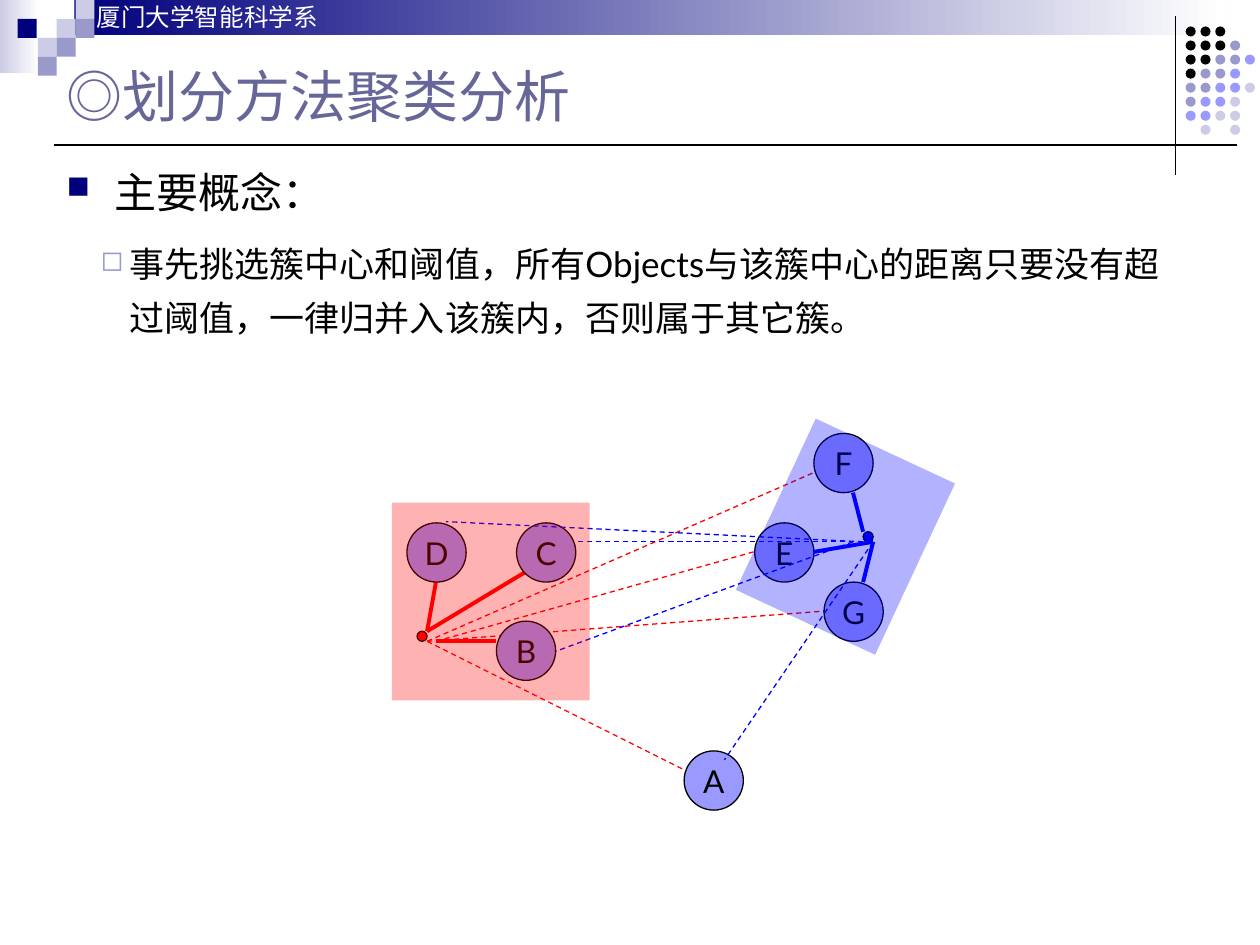
from lxml import etree
from pptx import Presentation
from pptx.dml.color import RGBColor
from pptx.enum.dml import MSO_LINE
from pptx.enum.shapes import MSO_CONNECTOR, MSO_SHAPE
from pptx.enum.text import MSO_ANCHOR, PP_ALIGN
from pptx.oxml.ns import qn
from pptx.util import Inches, Pt

RECT, OVAL = MSO_SHAPE.RECTANGLE, MSO_SHAPE.OVAL
STRAIGHT, DASH = MSO_CONNECTOR.STRAIGHT, MSO_LINE.DASH
CENTER = PP_ALIGN.CENTER
TOP, MIDDLE, BOTTOM = MSO_ANCHOR.TOP, MSO_ANCHOR.MIDDLE, MSO_ANCHOR.BOTTOM
LATIN, CJK = "Lato", "Noto Sans CJK SC"

COLORS = {
    "black": "000000", "white": "FFFFFF", "navy": "00007D", "pale": "CCCCE6",
    "lavender": "9999CC", "violet": "9999FF", "title": "666699",
    "red": "FF0000", "blue": "0000FF",
}

# Corner squares: left, top, colour
SQUARES = [
    (0.45, 0.15, "pale"), (0.6, 0, "pale"), (0.6, 0.15, "lavender"),
    (0.3, 0.3, "pale"), (0.14, 0.15, "navy"), (0.45, 0.3, "lavender"),
    (0.3, 0.45, "lavender"),
]

# Dot matrix, one string a row
DOT_ROWS = ["KKK", "KKKL", "KKLLV", "KLLV", "LLVVP", "LVVP", "VVPP", " P P"]
DOT_COLORS = {"K": "black", "L": "lavender", "V": "violet", "P": "pale"}

# Objects to cluster: left, top
OBJECTS = {
    "A": (5.43, 5.96), "B": (3.94, 4.93), "C": (4.1, 4.15), "D": (3.23, 4.15),
    "E": (5.99, 4.15), "F": (6.46, 3.44), "G": (6.54, 4.62),
}

# Distances from each cluster centre: start, end
RED_FAR = [
    ((3.39, 5.09), (6.46, 3.75)), ((3.46, 5.09), (5.98, 4.38)),
    ((3.39, 5.09), (6.54, 4.85)), ((3.39, 5.09), (5.43, 6.11)),
]
RED_NEAR = [
    ((3.39, 5.01), (3.46, 4.62)), ((3.39, 5.01), (4.17, 4.54)),
    ((3.46, 5.09), (3.94, 5.09)),
]
BLUE_NEAR = [
    ((6.85, 4.22), (6.77, 3.91)), ((6.46, 4.38), (6.93, 4.3)),
    ((6.85, 4.62), (6.93, 4.3)),
]
BLUE_FAR = [
    ((6.93, 4.3), (5.75, 6.03)), ((6.77, 4.3), (4.41, 5.17)),
    ((6.85, 4.3), (4.57, 4.3)), ((6.85, 4.3), (3.54, 4.14)),
]


def rgb(color):
    return RGBColor.from_string(COLORS[color])


def set_font(paragraph, size, color, face):
    font = paragraph.font
    font.size, font.name = Pt(size), face
    font.color.rgb = rgb(color)
    for run in paragraph.runs:
        east_asian = etree.SubElement(run._r.get_or_add_rPr(), qn("a:ea"))
        east_asian.set("typeface", face)


def add_solid(slide, kind, left, top, width, height, color, outline=False, alpha=None):
    shape = slide.shapes.add_shape(
        kind, Inches(left), Inches(top), Inches(width), Inches(height))
    shape.shadow.inherit = False
    shape.fill.solid()
    shape.fill.fore_color.rgb = rgb(color)
    if outline:
        shape.line.color.rgb = rgb("black")
        shape.line.width = Pt(0.75)
    else:
        shape.line.fill.background()
    if alpha is not None:
        fill_color = shape._element.spPr.find(qn("a:solidFill"))[0]
        etree.SubElement(fill_color, qn("a:alpha")).set("val", str(alpha * 1000))
    return shape


def add_fade(slide, left, top, width, height, color):
    band = add_solid(slide, RECT, left, top, width, height, color)
    band.fill.gradient()
    band.fill.gradient_angle = 0
    for stop, shade in zip(band.fill.gradient_stops, (color, "white")):
        stop.color.rgb = rgb(shade)


def add_line(slide, start, end, color, width, dashed=False):
    line = slide.shapes.add_connector(
        STRAIGHT, *(Inches(value) for value in (*start, *end)))
    line.line.color.rgb = rgb(color)
    line.line.width = Pt(width)
    if dashed:
        line.line.dash_style = DASH
    etree.SubElement(line._element.spPr, qn("a:effectLst"))


def add_distances(slide, pairs, color, near):
    for start, end in pairs:
        add_line(slide, start, end, color, 2.25 if near else 0.75, not near)


def add_text_frame(slide, left, top, width, height, anchor=TOP):
    box = slide.shapes.add_textbox(
        Inches(left), Inches(top), Inches(width), Inches(height))
    frame = box.text_frame
    frame.word_wrap = True
    frame.vertical_anchor = anchor
    return frame


def add_heading(slide, text, place, size, color, anchor=TOP):
    paragraph = add_text_frame(slide, *place, anchor).paragraphs[0]
    paragraph.text = text
    set_font(paragraph, size, color, CJK)


def fill_bullet(paragraph, text, size, margin, hanging, mark, mark_color, mark_size):
    paragraph.text = text
    paragraph.line_spacing = 1.3
    props = paragraph._p.get_or_add_pPr()
    props.set("marL", str(Inches(margin)))
    props.set("indent", str(-Inches(hanging)))
    bullet_color = etree.SubElement(props, qn("a:buClr"))
    etree.SubElement(bullet_color, qn("a:srgbClr")).set("val", COLORS[mark_color])
    etree.SubElement(props, qn("a:buSzPct")).set("val", str(mark_size * 1000))
    etree.SubElement(props, qn("a:buChar")).set("char", mark)
    set_font(paragraph, size, "black", LATIN)


def add_object(slide, name, left, top):
    circle = add_solid(slide, OVAL, left, top, 0.47, 0.47, "violet", outline=True)
    frame = circle.text_frame
    frame.word_wrap = False
    frame.vertical_anchor = MIDDLE
    label = frame.paragraphs[0]
    label.text = name
    label.alignment = CENTER
    set_font(label, 18, "black", LATIN)


def add_decoration(slide):
    add_fade(slide, 0, 0, 0.31, 0.58, "pale")
    add_fade(slide, 0.59, 0, 9.13, 0.28, "navy")
    for left, top, color in SQUARES:
        add_solid(slide, RECT, left, top, 0.15, 0.15, color)
    add_heading(slide, "厦门大学智能科学系", (0.67, -0.03, 8.51, 0.34), 14, "white")
    add_line(slide, (9.33, 0.13), (9.33, 1.39), "black", 0.75)
    for row, codes in enumerate(DOT_ROWS):
        for column, code in enumerate(codes):
            if code in DOT_COLORS:
                add_solid(slide, OVAL, 9.41 + column * 0.47 / 4, 0.21 + row * 0.78 / 7,
                          0.08, 0.08, DOT_COLORS[code])
    add_line(slide, (9.82, 1.15), (0.43, 1.15), "black", 1)


def add_body(slide):
    frame = add_text_frame(slide, 0.43, 1.15, 8.9, 6.14)
    fill_bullet(frame.paragraphs[0], "主要概念：", 24, 0.38, 0.38, "■", "navy", 75)
    detail = frame.add_paragraph()
    detail.space_before = Pt(7.5)
    fill_bullet(detail, "事先挑选簇中心和阈值，所有Objects与该簇中心的距离只要没有"
                "超过阈值，一律归并入该簇内，否则属于其它簇。",
                20, 0.5, 0.23, "◻", "lavender", 80)


def main():
    prs = Presentation()
    prs.slide_width, prs.slide_height = Inches(10), Inches(7.5)
    slide = prs.slides.add_slide(prs.slide_layouts[6])

    add_decoration(slide)

    # Red cluster centre and its distances
    add_solid(slide, OVAL, 3.31, 5.01, 0.08, 0.08, "red", outline=True)
    add_distances(slide, RED_FAR, "red", near=False)
    add_distances(slide, RED_NEAR, "red", near=True)

    # Title and text
    add_heading(slide, "◎划分方法聚类分析", (0.43, 0.36, 8.74, 0.71), 32, "title", BOTTOM)
    add_body(slide)

    for name, (left, top) in OBJECTS.items():
        add_object(slide, name, left, top)

    # Blue cluster centre and its distances
    add_solid(slide, OVAL, 6.85, 4.22, 0.08, 0.08, "blue", outline=True)
    add_distances(slide, BLUE_NEAR, "blue", near=True)
    add_distances(slide, BLUE_FAR, "blue", near=False)

    # Translucent cluster areas
    add_solid(slide, RECT, 3.11, 3.99, 1.57, 1.57, "red", alpha=30)
    blue_area = add_solid(slide, RECT, 6.1, 3.51, 1.22, 1.5, "blue", alpha=30)
    blue_area.rotation = 25

    prs.save("out.pptx")


if __name__ == "__main__":
    main()
